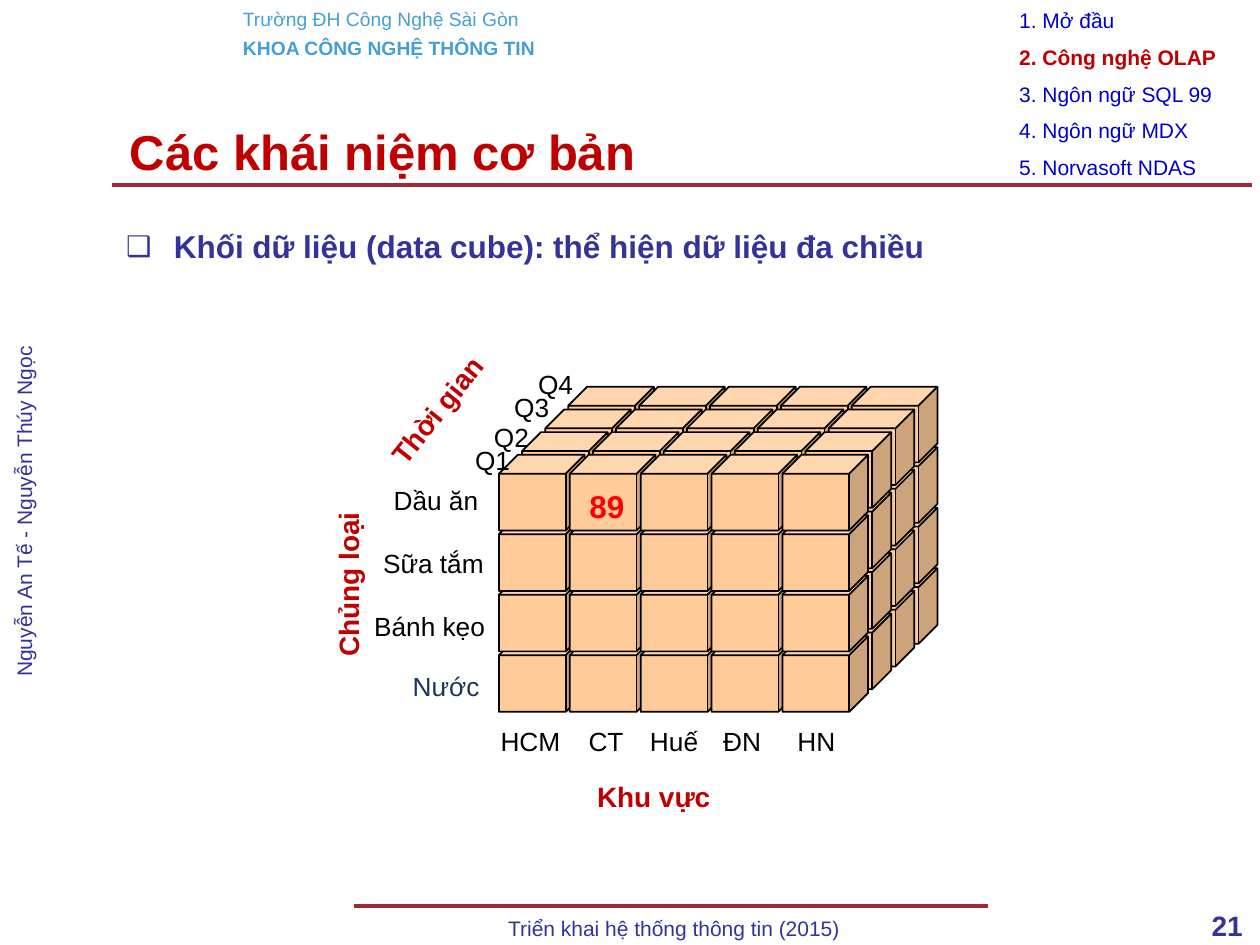
from lxml.etree import SubElement
from pptx import Presentation
from pptx.dml.color import RGBColor
from pptx.enum.shapes import MSO_CONNECTOR, MSO_SHAPE
from pptx.enum.text import MSO_ANCHOR, PP_ALIGN as Align
from pptx.oxml.ns import qn
from pptx.util import Inches, Pt

FONT = "Arial"
RED, NAVY, BLUE, SKY = "C00000", "333399", "0000CC", "459FD7"
BLACK, RULE, PEACH = "000000", "9F2936", "FFCC99"

COLUMNS, ROWS, LAYERS = 5, 4, 4
CUBE_LEFT, CUBE_TOP = 3.96, 3.61
COLUMN_STEP, ROW_STEP = 2.25 / 4, 0.48
DEPTH_X, DEPTH_Y = 0.55 / 3, 0.18


def rgb(color):
    return RGBColor.from_string(color)


def write(para, text, *, size, color, bold=False, align=Align.LEFT):
    para.alignment = align
    span = para.add_run()
    span.text = text
    span.font.name = FONT
    span.font.size = Pt(size)
    span.font.bold = bold
    span.font.color.rgb = rgb(color)


def add_text(page, text, left, top, width, height, *, rotation=0, wrap=True,
             **style):
    box = page.shapes.add_textbox(Inches(left), Inches(top),
                                  Inches(width), Inches(height))
    box.rotation = rotation
    box.text_frame.word_wrap = wrap
    write(box.text_frame.paragraphs[0], text, **style)
    return box


def add_label(page, text, center, top, color=BLACK):
    """Centre a member name of a cube axis on the given x position."""
    width = 1.1
    add_text(page, text, center - width / 2, top, width, 0.35,
             size=15, color=color, align=Align.CENTER)


def add_rule(page, left, right, top):
    rule = page.shapes.add_connector(MSO_CONNECTOR.STRAIGHT, Inches(left),
                                     Inches(top), Inches(right), Inches(top))
    rule.line.color.rgb = rgb(RULE)
    rule.line.width = Pt(2)
    SubElement(rule._element.spPr, qn("a:effectLst"))


def add_cube(page, column, row, layer):
    left = CUBE_LEFT + column * COLUMN_STEP + layer * DEPTH_X
    top = CUBE_TOP + row * ROW_STEP - layer * DEPTH_Y
    cube = page.shapes.add_shape(MSO_SHAPE.CUBE, Inches(left), Inches(top),
                                 Inches(0.68), Inches(0.6))
    cube.adjustments[0] = 0.25
    cube.shadow.inherit = False
    cube.fill.solid()
    cube.fill.fore_color.rgb = rgb(PEACH)
    cube.line.color.rgb = rgb(BLACK)
    cube.line.width = Pt(1)


def add_data_cube(page):
    """Stack the visible cells from back to front and from bottom to top."""
    for layer in reversed(range(LAYERS)):
        for row in reversed(range(ROWS)):
            whole_row = layer == 0 or row == 0
            for column in range(0 if whole_row else COLUMNS - 1, COLUMNS):
                add_cube(page, column, row, layer)


def add_cube_labels(page):
    axis = dict(size=16, color=RED, bold=True)
    add_text(page, "Thời gian", 2.86, 3.07, 1.21, 0.36,
             rotation=308.7, wrap=False, **axis)
    add_text(page, "Chủng loại", 1.96, 4.33, 1.6, 0.36, rotation=270, **axis)
    add_text(page, "Khu vực", 4.64, 6.14, 1.25, 0.36, **axis)

    for text, center, top in (("Q4", 4.41, 2.87), ("Q3", 4.22, 3.06),
                              ("Q2", 4.06, 3.29), ("Q1", 3.91, 3.48),
                              ("Dầu ăn", 3.46, 3.79), ("Sữa tắm", 3.44, 4.29),
                              ("Bánh kẹo", 3.41, 4.79)):
        add_label(page, text, center, top)
    add_label(page, "Nước", 3.54, 5.27, color="17375E")

    for text, center in (("HCM", 4.21), ("CT", 4.81), ("Huế", 5.35),
                         ("ĐN", 5.89), ("HN", 6.48)):
        add_label(page, text, center, 5.71)

    add_text(page, "89", 4.58, 3.82, 0.48, 0.4, wrap=False,
             size=18, color="FF0000", bold=True)


def place(shape, left, top, width, height):
    shape.left, shape.top = Inches(left), Inches(top)
    shape.width, shape.height = Inches(width), Inches(height)


def set_bullet(para, symbol, color, percent, indent):
    properties = para._p.get_or_add_pPr()
    properties.set("marL", str(Inches(indent)))
    properties.set("indent", str(-Inches(indent)))
    bullet_color = SubElement(properties, qn("a:buClr"))
    SubElement(bullet_color, qn("a:srgbClr"), val=color)
    SubElement(properties, qn("a:buSzPct"), val=str(percent * 1000))
    SubElement(properties, qn("a:buFont"), typeface=FONT)
    SubElement(properties, qn("a:buChar"), char=symbol)


def fill_placeholders(page):
    title, body = page.placeholders
    place(title, 0.93, 0.84, 7.01, 0.71)
    title.text_frame.vertical_anchor = MSO_ANCHOR.MIDDLE
    write(title.text_frame.paragraphs[0], "Các khái niệm cơ bản",
          size=28, color=RED, bold=True)

    place(body, 0.9, 1.68, 8.98, 5.38)
    para = body.text_frame.paragraphs[0]
    para.line_spacing = 1.25
    para.space_before = Pt(0)
    set_bullet(para, "❑", NAVY, 90, 0.38)
    write(para, "Khối dữ liệu (data cube): thể hiện dữ liệu đa chiều",
          size=18, color=NAVY, bold=True)


def add_frame(page):
    """Add the header, the side credit, the footer and the two rules."""
    add_rule(page, 2.81, 7.84, 7.19)
    add_rule(page, 0.89, 9.94, 1.47)
    header = add_text(page, "Trường ĐH Công Nghệ Sài Gòn",
                      1.83, 0.01, 2.8, 0.52, size=11, color=SKY)
    faculty = header.text_frame.add_paragraph()
    faculty.space_before = Pt(3.4)
    write(faculty, "KHOA CÔNG NGHỆ THÔNG TIN", size=11, color=SKY, bold=True)
    add_text(page, "Nguyễn An Tế - Nguyễn Thúy Ngọc", -1.13, 3.81, 2.84, 0.5,
             rotation=270, size=12, color=NAVY, align=Align.CENTER)
    add_text(page, "Triển khai hệ thống thông tin (2015)",
             2.87, 7.22, 4.96, 0.26, size=12, color=NAVY, align=Align.CENTER)
    add_text(page, "21", 8.94, 7.16, 1.02, 0.29,
             size=16, color=NAVY, bold=True, align=Align.RIGHT)


def add_outline(page, chapters, current):
    for index, chapter in enumerate(chapters):
        active = index == current
        add_text(page, f"{index + 1}. {chapter}",
                 7.99, 0.01 + index * 1.17 / 4, 1.97, 0.3,
                 size=12, color=RED if active else BLUE, bold=active)


def main():
    deck = Presentation()
    deck.slide_width, deck.slide_height = Inches(10), Inches(7.5)
    page = deck.slides.add_slide(deck.slide_layouts[1])
    add_frame(page)
    fill_placeholders(page)
    add_data_cube(page)
    add_cube_labels(page)
    add_outline(page, ["Mở đầu", "Công nghệ OLAP", "Ngôn ngữ SQL 99",
                       "Ngôn ngữ MDX", "Norvasoft NDAS"], current=1)
    deck.save("out.pptx")


if __name__ == "__main__":
    main()
